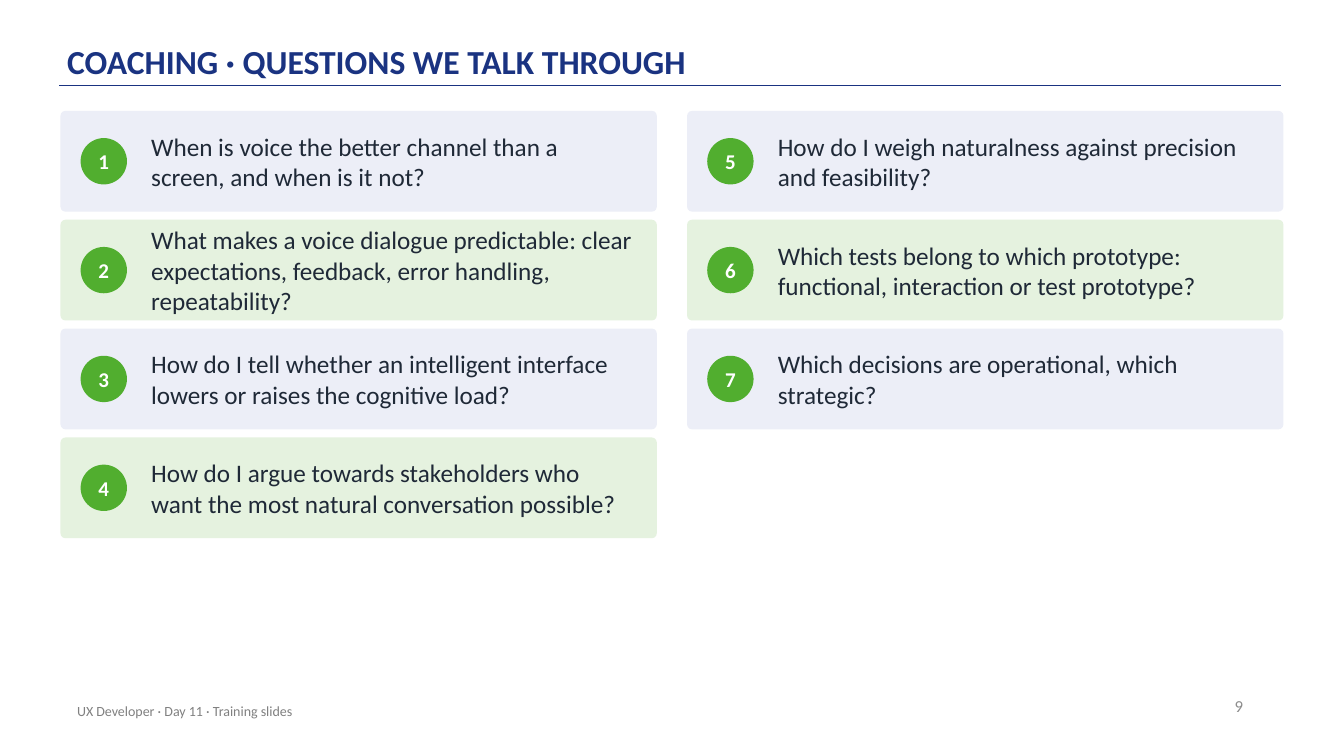
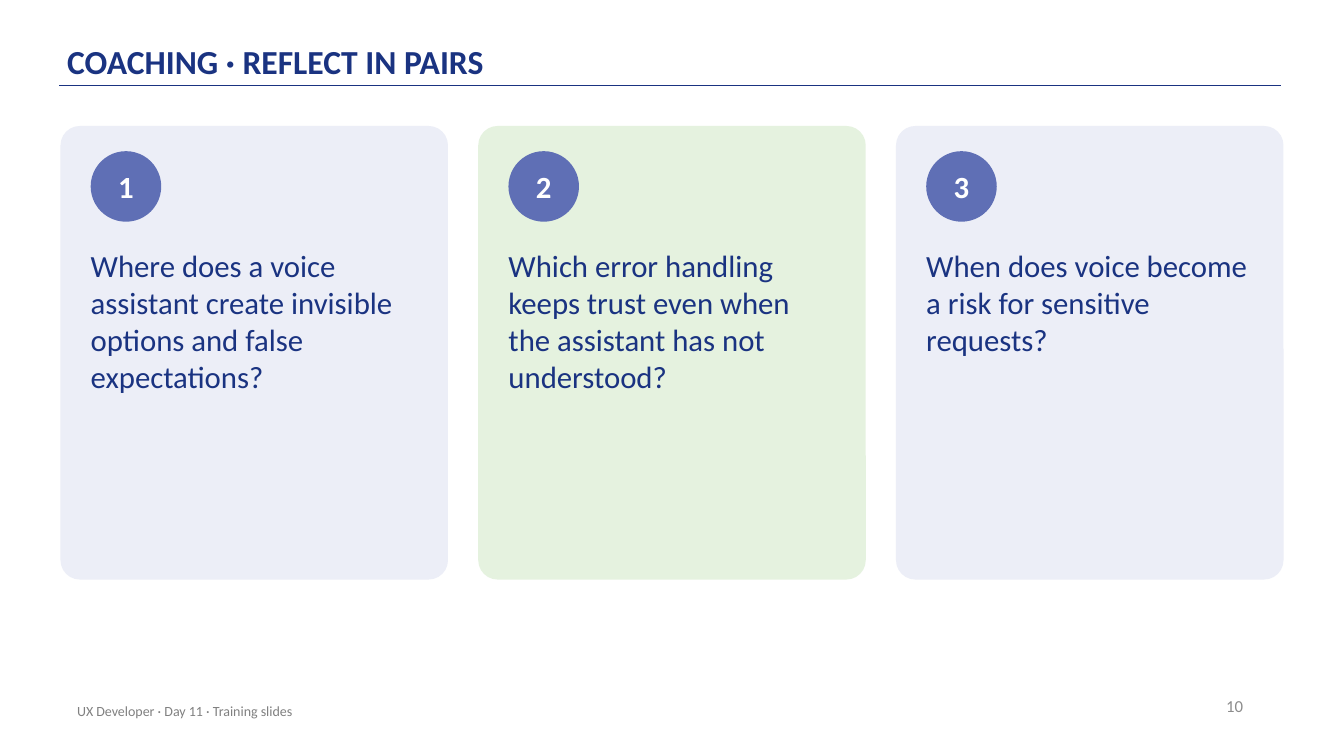
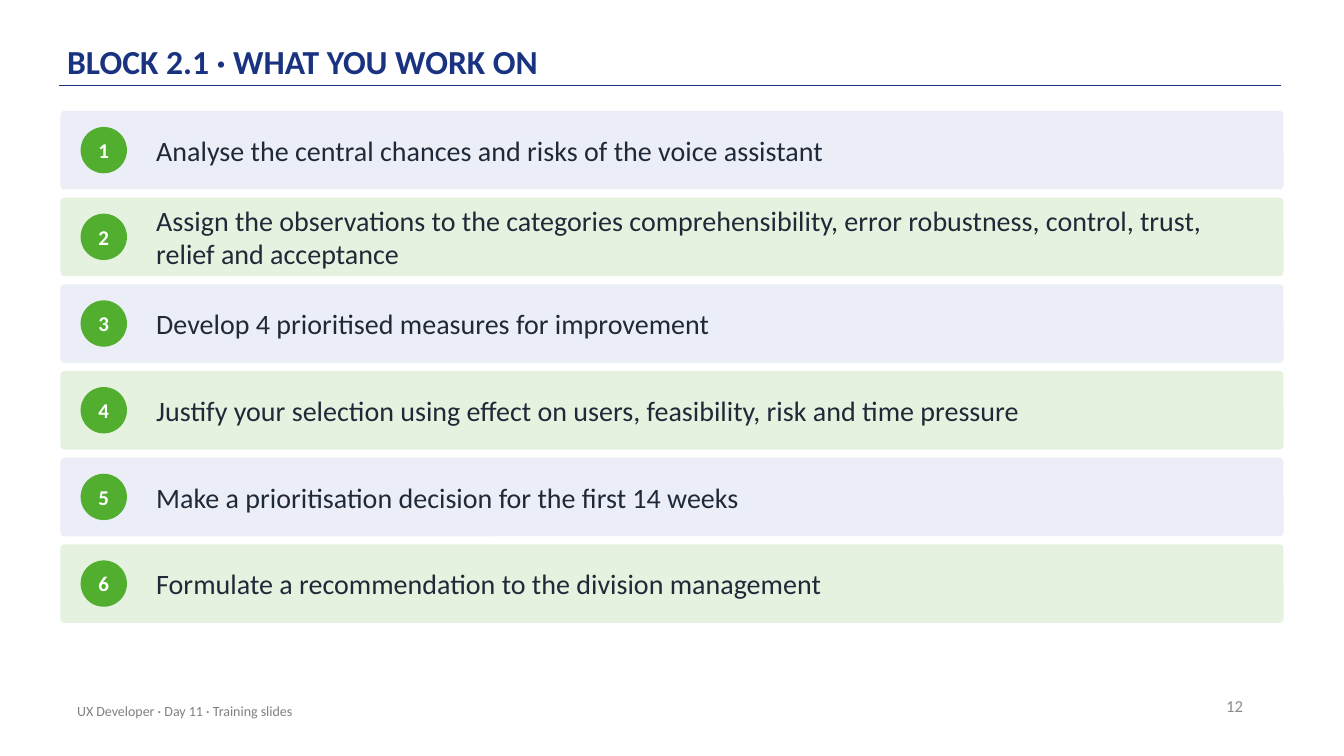
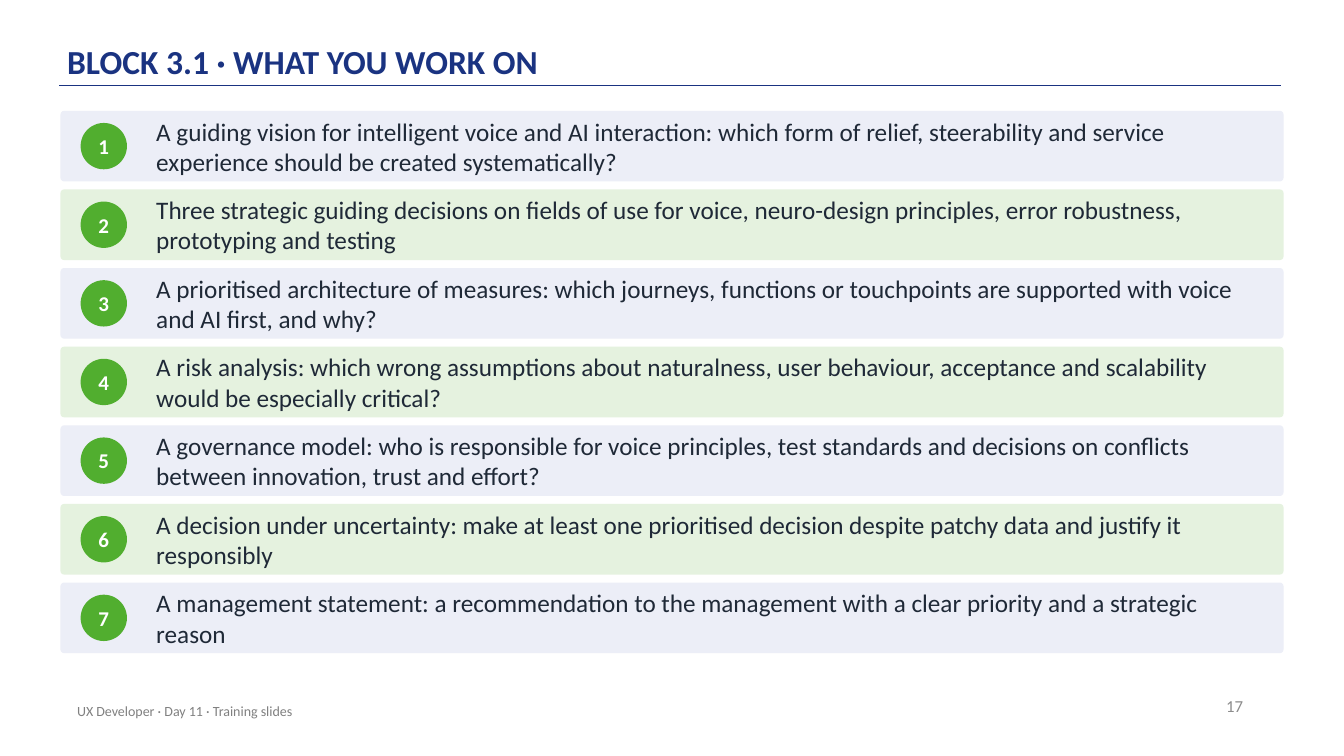
from dataclasses import dataclass
from typing import NamedTuple

from pptx import Presentation
from pptx.dml.color import RGBColor
from pptx.enum import shapes, text
from pptx.oxml import ns
from pptx.util import Pt

COLORS = {
    "navy": "1A3381",
    "indigo": "5F6FB5",
    "green": "51AE2F",
    "pale_blue": "ECEEF7",
    "pale_green": "E5F2DF",
    "ink": "1F2937",
    "white": "FFFFFF",
    "number": "8C8C8C",
    "footer": "808080",
}
CARD_FILLS = ("pale_blue", "pale_green")
FONT = "Calibri"
FOOTER = "UX Developer · Day 11 · Training slides"

SLIDE_WIDTH, SLIDE_HEIGHT = 960, 540
LEFT, CONTENT_WIDTH = 43.2, 873.6
COLUMN_GAP = 21.6
LIST_TOP, ROW_GAP = 79.2, 5.76
BADGE_SIZE, BADGE_INDENT = 33.12, 14.4
PAIR_TOP, PAIR_HEIGHT = 90, 324
PAIR_PADDING, PAIR_BADGE_SIZE = 21.6, 50.4


class Area(NamedTuple):
    left: float
    top: float
    width: float
    height: float

    def lengths(self) -> list:
        return [Pt(value) for value in self]


@dataclass(frozen=True)
class Style:
    size: float
    color: str
    bold: bool = False
    align: text.PP_ALIGN = text.PP_ALIGN.LEFT
    anchor: text.MSO_ANCHOR = text.MSO_ANCHOR.MIDDLE
    insets: tuple = (0, 0, 0, 0)
    grow: bool = False
    line_spacing: float | None = None
    space_after: float | None = None


@dataclass(frozen=True)
class ListLayout:
    row_height: float
    rows: int
    columns: int
    text_indent: float
    text_margin: float
    size: float


@dataclass(frozen=True)
class Page:
    title: str
    number: int
    items: tuple
    layout: ListLayout | None = None


TITLE_STYLE = Style(24, "navy", bold=True, anchor=text.MSO_ANCHOR.BOTTOM,
                    insets=(0, 2.16, 0, 2.16), line_spacing=0.9)
NUMBER_STYLE = Style(12, "number", align=text.PP_ALIGN.RIGHT,
                     insets=(7.2, 3.6, 7.2, 3.6))
FOOTER_STYLE = Style(10, "footer", insets=(7.2, 3.6, 7.2, 3.6))
PAIR_STYLE = Style(22, "navy", anchor=text.MSO_ANCHOR.TOP, grow=True, space_after=6)

PAGES = (
    Page("COACHING · QUESTIONS WE TALK THROUGH", 9, (
        "When is voice the better channel than a screen, and when is it not?",
        "What makes a voice dialogue predictable: clear expectations, feedback, "
        "error handling, repeatability?",
        "How do I tell whether an intelligent interface lowers or raises the cognitive load?",
        "How do I argue towards stakeholders who want the most natural conversation possible?",
        "How do I weigh naturalness against precision and feasibility?",
        "Which tests belong to which prototype: functional, interaction or test prototype?",
        "Which decisions are operational, which strategic?",
    ), ListLayout(72, rows=4, columns=2, text_indent=64.8, text_margin=14.4, size=18)),
    Page("COACHING · REFLECT IN PAIRS", 10, (
        "Where does a voice assistant create invisible options and false expectations?",
        "Which error handling keeps trust even when the assistant has not understood?",
        "When does voice become a risk for sensitive requests?",
    )),
    Page("BLOCK 2.1 · WHAT YOU WORK ON", 12, (
        "Analyse the central chances and risks of the voice assistant",
        "Assign the observations to the categories comprehensibility, error robustness, "
        "control, trust, relief and acceptance",
        "Develop 4 prioritised measures for improvement",
        "Justify your selection using effect on users, feasibility, risk and time pressure",
        "Make a prioritisation decision for the first 14 weeks",
        "Formulate a recommendation to the division management",
    ), ListLayout(56.16, rows=6, columns=1, text_indent=68.4, text_margin=18, size=20)),
    Page("BLOCK 3.1 · WHAT YOU WORK ON", 17, (
        "A guiding vision for intelligent voice and AI interaction: which form of relief, "
        "steerability and service experience should be created systematically?",
        "Three strategic guiding decisions on fields of use for voice, neuro-design "
        "principles, error robustness, prototyping and testing",
        "A prioritised architecture of measures: which journeys, functions or touchpoints "
        "are supported with voice and AI first, and why?",
        "A risk analysis: which wrong assumptions about naturalness, user behaviour, "
        "acceptance and scalability would be especially critical?",
        "A governance model: who is responsible for voice principles, test standards and "
        "decisions on conflicts between innovation, trust and effort?",
        "A decision under uncertainty: make at least one prioritised decision despite "
        "patchy data and justify it responsibly",
        "A management statement: a recommendation to the management with a clear priority "
        "and a strategic reason",
    ), ListLayout(50.4, rows=7, columns=1, text_indent=68.4, text_margin=18, size=18)),
)


def rgb(name: str) -> RGBColor:
    return RGBColor.from_string(COLORS[name])


def apply(target, values: dict) -> None:
    for name, value in values.items():
        setattr(target, name, value)


def write(shape, words: str, style: Style) -> None:
    frame = shape.text_frame
    left, top, right, bottom = (Pt(inset) for inset in style.insets)
    fit = text.MSO_AUTO_SIZE.SHAPE_TO_FIT_TEXT if style.grow else text.MSO_AUTO_SIZE.NONE
    apply(frame, {
        "word_wrap": True, "auto_size": fit, "vertical_anchor": style.anchor,
        "margin_left": left, "margin_top": top,
        "margin_right": right, "margin_bottom": bottom,
    })
    para = frame.paragraphs[0]
    after = None if style.space_after is None else Pt(style.space_after)
    apply(para, {"alignment": style.align, "line_spacing": style.line_spacing,
                 "space_after": after})
    span = para.add_run()
    span.text = words
    apply(span.font, {"name": FONT, "size": Pt(style.size), "bold": style.bold})
    span.font.color.rgb = rgb(style.color)


def add_text(slide, area: Area, words: str, style: Style) -> None:
    write(slide.shapes.add_textbox(*area.lengths()), words, style)


def add_filled(slide, kind: shapes.MSO_SHAPE, area: Area, color: str):
    shape = slide.shapes.add_shape(kind, *area.lengths())
    shape.shadow.inherit = False
    shape.fill.solid()
    shape.fill.fore_color.rgb = rgb(color)
    shape.line.fill.background()
    return shape


def add_card(slide, area: Area, index: int) -> None:
    """Draw a rounded panel; the fills alternate by index."""
    color = CARD_FILLS[index % len(CARD_FILLS)]
    card = add_filled(slide, shapes.MSO_SHAPE.ROUNDED_RECTANGLE, area, color)
    card.adjustments[0] = 0.05


def add_badge(slide, left: float, top: float, diameter: float, number: int,
              color: str, size: float) -> None:
    area = Area(left, top, diameter, diameter)
    badge = add_filled(slide, shapes.MSO_SHAPE.OVAL, area, color)
    write(badge, str(number), Style(size, "white", bold=True, align=text.PP_ALIGN.CENTER))


def column_width(columns: int) -> float:
    return (CONTENT_WIDTH - (columns - 1) * COLUMN_GAP) / columns


def add_list(slide, items: tuple, layout: ListLayout) -> None:
    """Draw numbered rows, filling one column after the other."""
    width, height = column_width(layout.columns), layout.row_height
    style = Style(layout.size, "ink", grow=True)
    for index, words in enumerate(items):
        column, row = divmod(index, layout.rows)
        left = LEFT + column * (width + COLUMN_GAP)
        top = LIST_TOP + row * (height + ROW_GAP)
        add_card(slide, Area(left, top, width, height), row)
        add_badge(slide, left + BADGE_INDENT, top + (height - BADGE_SIZE) / 2,
                  BADGE_SIZE, index + 1, "green", 15)
        text_width = width - layout.text_indent - layout.text_margin
        add_text(slide, Area(left + layout.text_indent, top, text_width, height),
                 words, style)


def add_pair_cards(slide, items: tuple) -> None:
    width = column_width(len(items))
    for index, words in enumerate(items):
        left = LEFT + index * (width + COLUMN_GAP)
        inner = left + PAIR_PADDING
        add_card(slide, Area(left, PAIR_TOP, width, PAIR_HEIGHT), index)
        add_badge(slide, inner, PAIR_TOP + 18, PAIR_BADGE_SIZE, index + 1, "indigo", 22)
        add_text(slide, Area(inner, PAIR_TOP + 86.4, width - 2 * PAIR_PADDING, 223.2),
                 words, PAIR_STYLE)


def add_frame(slide, page: Page) -> None:
    """Draw the title, its rule, the page number and the footer."""
    rule = slide.shapes.add_connector(shapes.MSO_CONNECTOR.STRAIGHT,
                                      Pt(915), Pt(61.2), Pt(42), Pt(61.2))
    rule.line.color.rgb = rgb("navy")
    rule.line.width = Pt(1)
    properties = rule._element.spPr
    properties.append(properties.makeelement(ns.qn("a:effectLst"), {}))
    add_text(slide, Area(48, 8.64, 792, 51.84), page.title, TITLE_STYLE)
    add_text(slide, Area(679, 489.6, 216, 28.8), str(page.number), NUMBER_STYLE)
    add_text(slide, Area(48, 493.2, 482.4, 28.8), FOOTER, FOOTER_STYLE)


def main() -> None:
    deck = Presentation()
    apply(deck, {"slide_width": Pt(SLIDE_WIDTH), "slide_height": Pt(SLIDE_HEIGHT)})
    for page in PAGES:
        slide = deck.slides.add_slide(deck.slide_layouts[6])
        add_frame(slide, page)
        if page.layout:
            add_list(slide, page.items, page.layout)
        else:
            add_pair_cards(slide, page.items)
    deck.save("out.pptx")


if __name__ == "__main__":
    main()
